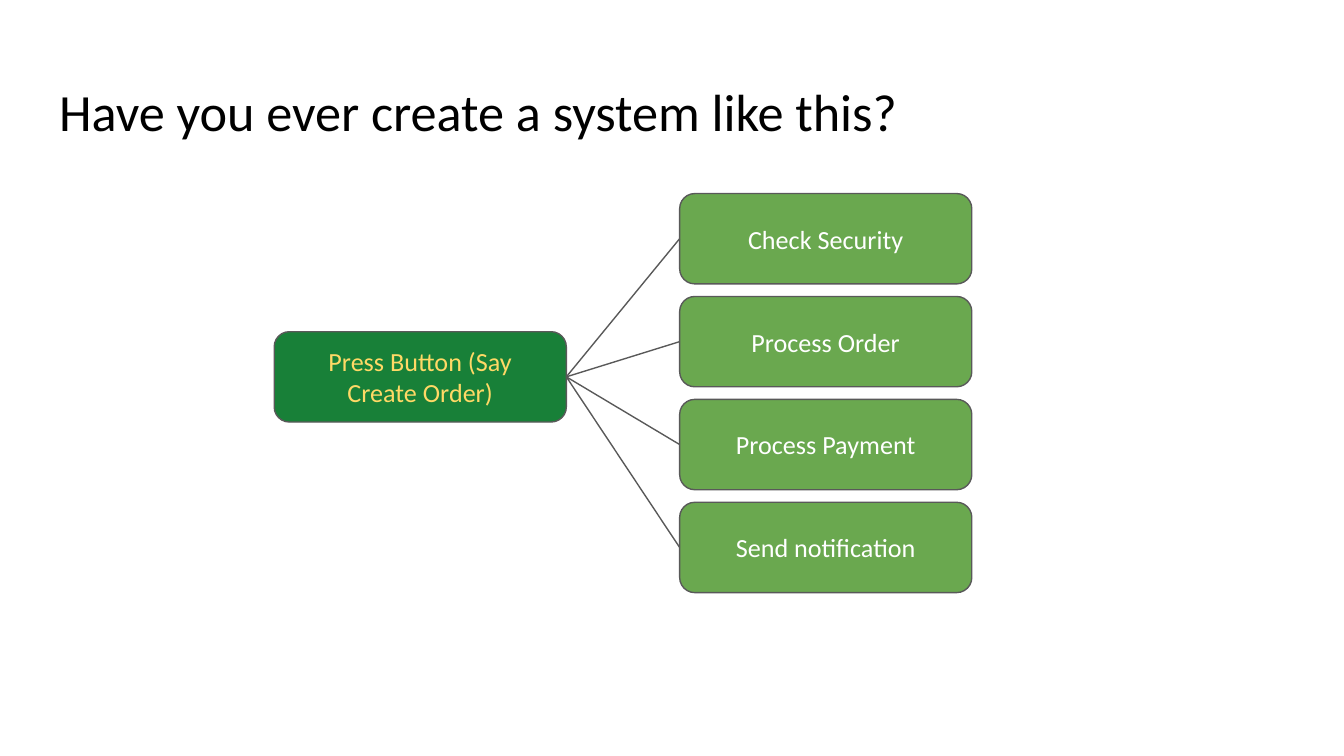
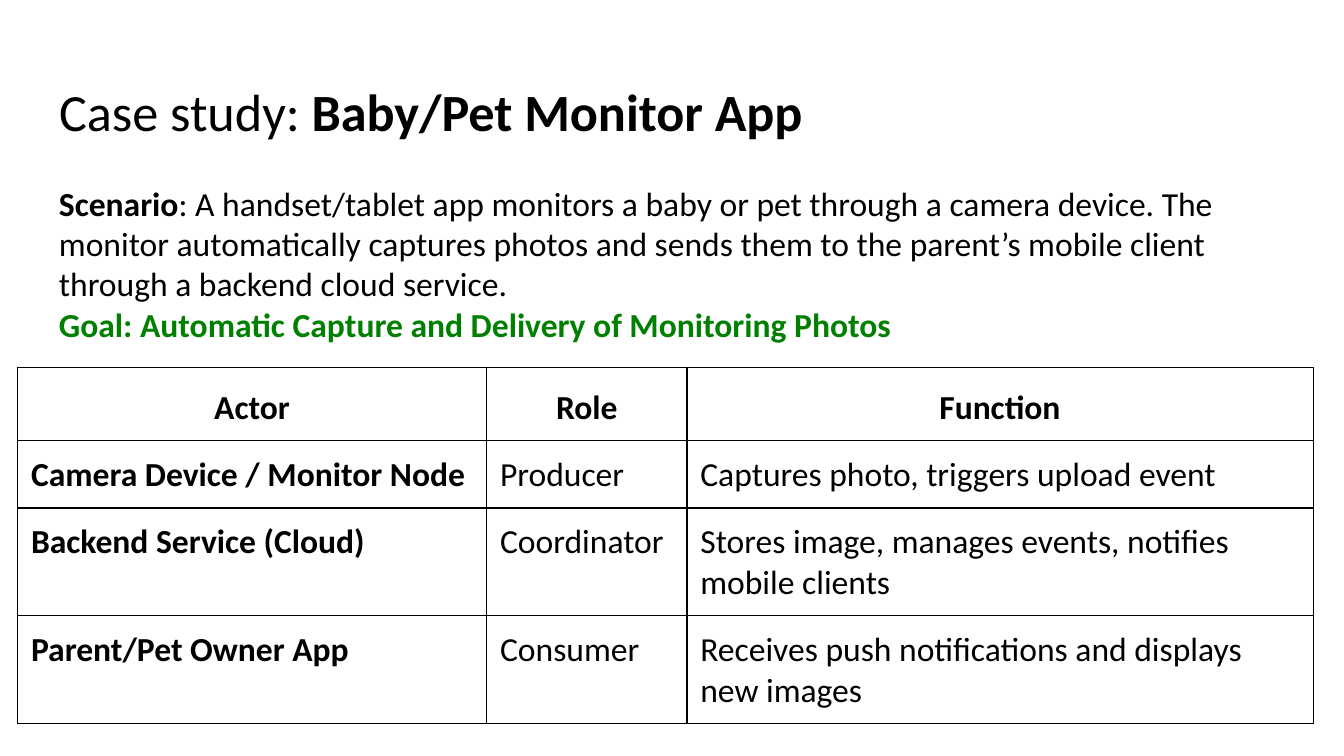
import pptx
import pptx.dml.color
import pptx.enum.dml
import pptx.enum.shapes
import pptx.enum.text
import pptx.oxml
import pptx.oxml.ns
import pptx.util

Pt = pptx.util.Pt
RGBColor = pptx.dml.color.RGBColor
Align = pptx.enum.text.PP_ALIGN
Anchor = pptx.enum.text.MSO_ANCHOR

BLACK = RGBColor(0x00, 0x00, 0x00)
WHITE = RGBColor(0xFF, 0xFF, 0xFF)
GRAY = RGBColor(0x59, 0x59, 0x59)
DARK_GREEN = RGBColor(0x18, 0x80, 0x38)
LIGHT_GREEN = RGBColor(0x6A, 0xA8, 0x4F)
GOAL_GREEN = RGBColor(0x00, 0x80, 0x00)
YELLOW = RGBColor(0xFF, 0xD9, 0x66)

FONT = "Calibri"
INSET = Pt(7.2)
LINE_WIDTH = Pt(0.75)
TITLE_ONLY = 5
LEFT_SITE, RIGHT_SITE = 1, 3

TITLE_BOX = (24.5, 35.3, 671, 48.2)
SCENARIO_BOX = (24.5, 90.7, 671, 101.5)
FLOW_BOX = (146.9, 103.7, 373.7, 213.8)
ACTOR_TABLE_BOX = (9.4, 196.9, 694.1, 130.3)

FRAME_FORMAT = {
    "word_wrap": True,
    "margin_left": INSET,
    "margin_right": INSET,
    "margin_top": INSET,
    "margin_bottom": INSET,
}
CELL_FORMAT = {
    "margin_left": INSET,
    "margin_right": INSET,
    "margin_top": INSET,
    "margin_bottom": INSET,
    "vertical_anchor": Anchor.TOP,
}

STEPS = ["Check Security", "Process Order", "Process Payment", "Send notification"]
SCENARIO = (
    ": A handset/tablet app monitors a baby or pet through a camera device. "
    "The monitor automatically captures photos and sends them to the parent’s "
    "mobile client through a backend cloud service."
)
ACTORS = [
    ("Actor", "Role", "Function"),
    ("Camera Device / Monitor Node", "Producer", "Captures photo, triggers upload event"),
    ("Backend Service (Cloud)", "Coordinator",
     "Stores image, manages events, notifies mobile clients"),
    ("Parent/Pet Owner App", "Consumer",
     "Receives push notifications and displays new images"),
]
COLUMN_WIDTHS = [251.3, 107.3, 335.5]
ROW_HEIGHTS = [26.6, 24.5, 39.6, 39.6]


def set_format(target, values):
    for name, value in values.items():
        setattr(target, name, value)


def write(paragraph, runs, size, align=Align.LEFT):
    paragraph.alignment = align
    for text, color, bold in runs:
        run = paragraph.add_run()
        run.text = text
        set_format(run.font, {"name": FONT, "size": Pt(size), "bold": bold})
        run.font.color.rgb = color


def add_title(slide, box, runs):
    title = slide.shapes.title
    set_format(title, dict(zip(("left", "top", "width", "height"), map(Pt, box))))
    set_format(title.text_frame, FRAME_FORMAT | {
        "vertical_anchor": Anchor.TOP,
        "auto_size": pptx.enum.text.MSO_AUTO_SIZE.SHAPE_TO_FIT_TEXT,
    })
    write(title.text_frame.paragraphs[0], runs, 28)


def add_flow_node(slide, box, text, fill_color, text_color):
    kind = pptx.enum.shapes.MSO_SHAPE.FLOWCHART_ALTERNATE_PROCESS
    shape = slide.shapes.add_shape(kind, *map(Pt, box))
    shape.shadow.inherit = False
    shape.fill.solid()
    shape.fill.fore_color.rgb = fill_color
    shape.line.color.rgb = GRAY
    shape.line.width = LINE_WIDTH
    set_format(shape.text_frame, FRAME_FORMAT | {"vertical_anchor": Anchor.MIDDLE})
    write(shape.text_frame.paragraphs[0], [(text, text_color, False)], 14, Align.CENTER)
    return shape


def connect(slide, source, target):
    kind = pptx.enum.shapes.MSO_CONNECTOR.STRAIGHT
    connector = slide.shapes.add_connector(kind, 0, 0, 0, 0)
    connector.begin_connect(source, RIGHT_SITE)
    connector.end_connect(target, LEFT_SITE)
    connector.line.color.rgb = GRAY
    connector.line.width = LINE_WIDTH
    connector._element.spPr.append(pptx.oxml.parse_xml(
        f'<a:effectLst {pptx.oxml.ns.nsdecls("a")}/>'))


def add_flow(slide, box):
    left, top, width, height = box
    node_width, node_height = 156.5, 48.4
    pitch = (height - node_height) / (len(STEPS) - 1)
    button = add_flow_node(
        slide, (left, top + 74, node_width, node_height),
        "Press Button (Say Create Order)", DARK_GREEN, YELLOW)
    steps = [
        add_flow_node(
            slide, (left + width - node_width, top + index * pitch, node_width, node_height),
            text, LIGHT_GREEN, WHITE)
        for index, text in enumerate(STEPS)
    ]
    for step in steps:
        connect(slide, button, step)


def add_scenario(slide, box):
    frame = slide.shapes.add_textbox(*map(Pt, box)).text_frame
    set_format(frame, FRAME_FORMAT | {
        "auto_size": pptx.enum.text.MSO_AUTO_SIZE.SHAPE_TO_FIT_TEXT})
    write(frame.paragraphs[0], [("Scenario", BLACK, True), (SCENARIO, BLACK, False)], 18)
    write(frame.add_paragraph(),
          [("Goal: Automatic Capture and Delivery of Monitoring Photos", GOAL_GREEN, True)], 18)


def add_borders(cell):
    properties = cell._tc.get_or_add_tcPr()
    for side in "LRTB":
        properties.append(pptx.oxml.parse_xml(
            f'<a:ln{side} {pptx.oxml.ns.nsdecls("a")} w="{LINE_WIDTH}">'
            f'<a:solidFill><a:srgbClr val="{BLACK}"/></a:solidFill></a:ln{side}>'))


def add_actor_table(slide, box):
    table = slide.shapes.add_table(
        len(ACTORS), len(COLUMN_WIDTHS), *map(Pt, box)).table
    set_format(table, {"first_row": False, "horz_banding": False})
    for column, width in zip(table.columns, COLUMN_WIDTHS):
        column.width = Pt(width)
    for row, height in zip(table.rows, ROW_HEIGHTS):
        row.height = Pt(height)
    for row_index, texts in enumerate(ACTORS):
        for column_index, text in enumerate(texts):
            cell = table.cell(row_index, column_index)
            is_header = row_index == 0
            set_format(cell, CELL_FORMAT)
            add_borders(cell)
            cell.fill.background()
            paragraph = cell.text_frame.paragraphs[0]
            write(paragraph, [(text, BLACK, is_header or column_index == 0)], 18,
                  Align.CENTER if is_header else Align.LEFT)
            if is_header:
                paragraph.line_spacing = 1.15


def add_slide(presentation, title_runs):
    slide = presentation.slides.add_slide(presentation.slide_layouts[TITLE_ONLY])
    slide.background.fill.solid()
    slide.background.fill.fore_color.rgb = WHITE
    add_title(slide, TITLE_BOX, title_runs)
    return slide


def build_system_slide(presentation):
    slide = add_slide(
        presentation, [("Have you ever create a system like this?", BLACK, False)])
    add_flow(slide, FLOW_BOX)


def build_case_study_slide(presentation):
    slide = add_slide(
        presentation,
        [("Case study: ", BLACK, False), ("Baby/Pet Monitor App", BLACK, True)])
    add_scenario(slide, SCENARIO_BOX)
    add_actor_table(slide, ACTOR_TABLE_BOX)


def main():
    presentation = pptx.Presentation()
    set_format(presentation, {"slide_width": Pt(720), "slide_height": Pt(405)})
    build_system_slide(presentation)
    build_case_study_slide(presentation)
    presentation.save("out.pptx")


if __name__ == "__main__":
    main()
